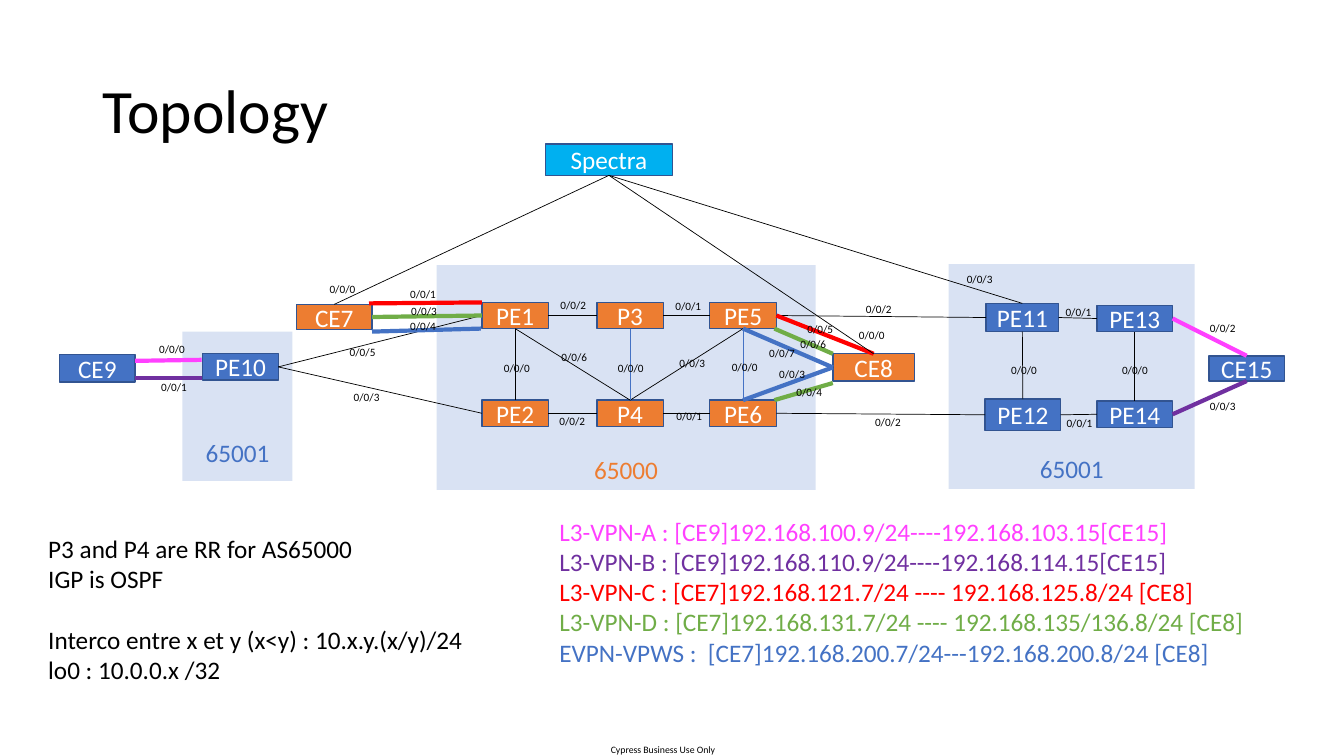
from lxml.etree import SubElement
from pptx import Presentation
from pptx.dml.color import RGBColor
from pptx.enum.shapes import MSO_CONNECTOR as CONNECTOR, MSO_SHAPE as SHAPE
from pptx.enum.text import MSO_ANCHOR as ANCHOR, PP_ALIGN as ALIGN
from pptx.oxml.ns import qn
from pptx.util import Inches, Pt

BLACK = RGBColor(0x00, 0x00, 0x00)
WHITE = RGBColor(0xFF, 0xFF, 0xFF)
BLUE = RGBColor(0x44, 0x72, 0xC4)
OUTLINE = RGBColor(0x32, 0x54, 0x91)
ORANGE = RGBColor(0xED, 0x7D, 0x31)
CYAN = RGBColor(0x00, 0xB0, 0xF0)
PINK = RGBColor(0xFF, 0x40, 0xFF)
PURPLE = RGBColor(0x70, 0x30, 0xA0)
RED = RGBColor(0xFF, 0x00, 0x00)
GREEN = RGBColor(0x70, 0xAD, 0x47)
FONT = "Calibri"
THIN, THICK = 0.5, 3

# Autonomous systems: box, number, number colour, gap below the number
ZONES = [
    ((9.41, 2.62, 2.44, 2.23), "65001", BLUE, 0.05),
    ((1.81, 3.29, 1.09, 1.48), "65001", BLUE, 0.13),
    ((4.33, 2.63, 3.76, 2.23), "65000", ORANGE, 0.05),
]

# Routers: the core is a grid of three columns and two rows
CORE_COLUMNS, CORE_ROWS, CORE_SIZE = (4.78, 5.92, 7.04), (3.0, 3.97), (0.66, 0.26)
CORE_NAMES = [("PE1", "P3", "PE5"), ("PE2", "P4", "PE6")]
NODES = {
    "PE10": ((2.01, 3.51, 0.75, 0.26), BLUE),
    "CE9": ((0.59, 3.52, 0.75, 0.27), BLUE),
    "PE11": ((9.78, 3.01, 0.72, 0.28), BLUE),
    "PE12": ((9.77, 3.96, 0.75, 0.31), BLUE),
    "PE13": ((10.88, 3.03, 0.75, 0.26), BLUE),
    "PE14": ((10.88, 3.98, 0.75, 0.26), BLUE),
    "CE15": ((11.99, 3.53, 0.75, 0.25), BLUE),
    "CE7": ((2.94, 3.02, 0.75, 0.25), ORANGE),
    "CE8": ((8.26, 3.51, 0.81, 0.27), ORANGE),
    "Spectra": ((5.41, 1.43, 1.26, 0.31), CYAN),
}
for top, names in zip(CORE_ROWS, CORE_NAMES):
    for left, name in zip(CORE_COLUMNS, names):
        NODES[name] = ((left, top, *CORE_SIZE), ORANGE)

# Links between router sides, as "router side" pairs
SIDES = ("top", "left", "bottom", "right")
LINKS = [
    (BLACK, THIN, [
        ("PE2 top", "PE1 bottom"), ("PE14 top", "PE13 bottom"),
        ("PE12 top", "PE11 bottom"), ("PE1 right", "P3 left"),
        ("PE2 right", "P4 left"), ("P3 right", "PE5 left"),
        ("P4 right", "PE6 left"), ("PE1 left", "PE10 right"),
        ("PE2 left", "PE10 right"), ("PE5 right", "PE11 left"),
        ("PE6 right", "PE12 left"), ("PE11 right", "PE13 left"),
        ("PE12 right", "PE14 left"), ("P4 top", "PE1 bottom"),
        ("P4 top", "PE5 bottom")]),
    (BLUE, THIN, [("P4 top", "P3 bottom"), ("PE6 top", "PE5 bottom")]),
    (PINK, THICK, [("PE13 right", "CE15 top")]),
    (PURPLE, THICK, [("PE14 right", "CE15 bottom")]),
    (RED, THICK, [("PE5 right", "CE8 top")]),
    (GREEN, THICK, [("CE7 right", "PE1 left")]),
    (BLUE, THICK, [("PE6 top", "CE8 left"), ("PE5 bottom", "CE8 left")]),
    (BLACK, THIN, [("Spectra bottom", "CE8 top"), ("Spectra bottom", "CE7 top"),
                   ("Spectra bottom", "PE11 top")]),
]

# Parallel links that meet a router away from the middle of its side
OFFSET_LINKS = [
    (PINK, (1.34, 3.58), (2.0, 3.57)),
    (PURPLE, (1.34, 3.75), (2.0, 3.75)),
    (RED, (3.66, 3.01), (4.78, 3.0)),
    (BLUE, (3.69, 3.29), (4.77, 3.26)),
    (GREEN, (7.68, 3.26), (8.26, 3.51)),
    (GREEN, (7.68, 3.97), (8.26, 3.8)),
]

# Interface labels: where each one stands
INTERFACES = {
    "0/0/0": [(4.9, 3.54), (6.03, 3.54), (7.16, 3.53), (9.93, 3.56), (11.03, 3.56),
              (1.48, 3.35), (3.17, 2.75), (8.42, 3.21)],
    "0/0/1": [(3.97, 2.8), (6.6, 2.92), (6.61, 4.01), (10.47, 2.98), (10.48, 4.08),
              (1.5, 3.72)],
    "0/0/2": [(5.45, 4.06), (5.46, 2.91), (8.58, 4.07), (8.49, 2.95), (11.9, 3.14)],
    "0/0/3": [(3.41, 3.82), (6.64, 3.49), (3.98, 2.97), (11.9, 3.91), (7.63, 3.6),
              (9.49, 2.65)],
    "0/0/4": [(7.8, 3.77), (3.97, 3.12)],
    "0/0/5": [(3.37, 3.38), (7.91, 3.15)],
    "0/0/6": [(5.47, 3.43), (7.84, 3.3)],
    "0/0/7": [(7.53, 3.39)],
}

# Text blocks: line, colour, space before in points
SERVICES = [
    ("L3-VPN-A : [CE9]192.168.100.9/24----192.168.103.15[CE15]", PINK, 0),
    ("L3-VPN-B : [CE9]192.168.110.9/24----192.168.114.15[CE15]", PURPLE, 0),
    ("L3-VPN-C : [CE7]192.168.121.7/24 ---- 192.168.125.8/24 [CE8]", RED, 0),
    ("L3-VPN-D : [CE7]192.168.131.7/24 ---- 192.168.135/136.8/24 [CE8]", GREEN, 0),
    ("EVPN-VPWS :  [CE7]192.168.200.7/24---192.168.200.8/24 [CE8]", BLUE, 0),
]
NOTES = [
    ("P3 and P4 are RR for AS65000", BLACK, 0),
    ("IGP is OSPF", BLACK, 0),
    ("Interco entre x et y (x<y) : 10.x.y.(x/y)/24", BLACK, 22),
    ("lo0 : 10.0.0.x /32", BLACK, 0),
]


def inches(values):
    return [Inches(value) for value in values]


def write(shape, lines, size=18, align=ALIGN.LEFT, **frame_format):
    frame = shape.text_frame
    for name, value in {"word_wrap": True, **frame_format}.items():
        setattr(frame, name, value)
    for index, (text, color, before) in enumerate(lines):
        paragraph = frame.add_paragraph() if index else frame.paragraphs[0]
        paragraph.alignment, paragraph.space_before = align, Pt(before)
        run = paragraph.add_run()
        run.text = text
        run.font.name, run.font.size = FONT, Pt(size)
        run.font.color.rgb = color


def add_text(box, lines, **options):
    write(slide.shapes.add_textbox(*inches(box)), lines, **options)


def add_box(box, fill):
    shape = slide.shapes.add_shape(SHAPE.RECTANGLE, *inches(box))
    shape.shadow.inherit = False
    shape.fill.solid()
    shape.fill.fore_color.rgb = fill
    return shape


def add_line(color, width, start=(0, 0), end=(0, 0)):
    line = slide.shapes.add_connector(CONNECTOR.STRAIGHT, *inches((*start, *end)))
    line.line.color.rgb, line.line.width = color, Pt(width)
    SubElement(line._element.spPr, qn("a:effectLst"))
    return line


presentation = Presentation()
presentation.slide_width, presentation.slide_height = inches((13.33, 7.5))
slide = presentation.slides.add_slide(presentation.slide_layouts[5])

# Autonomous system zones
for box, number, color, gap in ZONES:
    zone = add_box(box, BLUE)
    zone.line.fill.background()
    fill_color = next(zone._element.spPr.iter(qn("a:srgbClr")))
    SubElement(fill_color, qn("a:alpha")).set("val", "20000")
    write(zone, [(number, color, 0)], align=ALIGN.CENTER,
          vertical_anchor=ANCHOR.BOTTOM, margin_bottom=Inches(gap))

# Title
title = slide.shapes.title
title.left, title.top, title.width, title.height = inches((0.92, 0.4, 11.5, 1.45))
write(title, [("Topology", BLACK, 0)], size=44, vertical_anchor=ANCHOR.MIDDLE)
title.text_frame.paragraphs[0].line_spacing = 0.9

# Routers
routers = {}
for name, (box, fill) in NODES.items():
    router = routers[name] = add_box(box, fill)
    router.line.color.rgb, router.line.width = OUTLINE, Pt(1)
    write(router, [(name, WHITE, 0)], align=ALIGN.CENTER, vertical_anchor=ANCHOR.MIDDLE)

# Links
for color, width, pairs in LINKS:
    for start, end in pairs:
        link = add_line(color, width)
        for connect, anchor in ((link.begin_connect, start), (link.end_connect, end)):
            name, side = anchor.split()
            connect(routers[name], SIDES.index(side))
for color, start, end in OFFSET_LINKS:
    add_line(color, THICK, start, end)

# Interface labels and text blocks
for label, places in INTERFACES.items():
    for place in places:
        add_text((*place, 0.58, 0.24), [(label, BLACK, 0)], size=8)
add_text((5.45, 5.07, 7.46, 1.62), SERVICES)
add_text((0.38, 5.24, 4.69, 1.62), NOTES)
add_text((6.05, 7.38, 1.05, 0.12), [("Cypress Business Use Only", BLACK, 0)], size=7,
         align=ALIGN.CENTER, word_wrap=False, margin_left=0, margin_right=0,
         margin_top=0, margin_bottom=0)

presentation.save("out.pptx")
